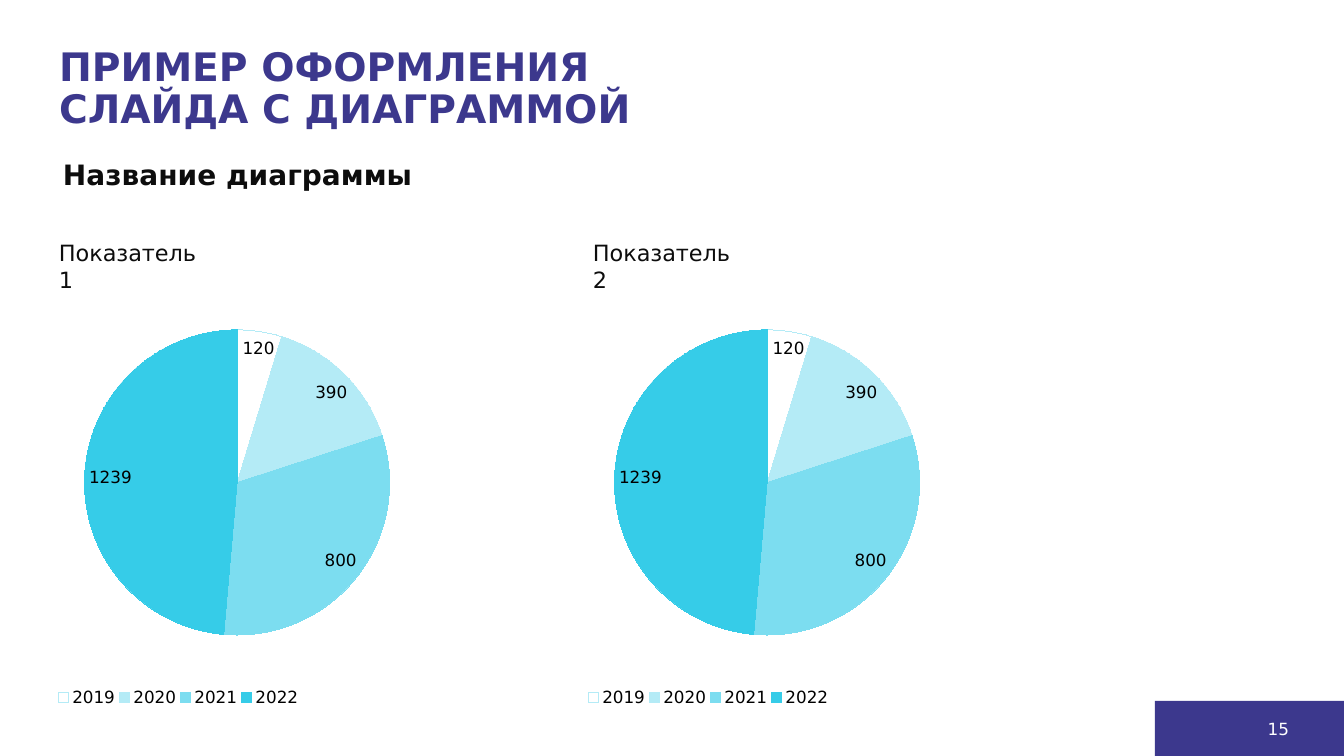
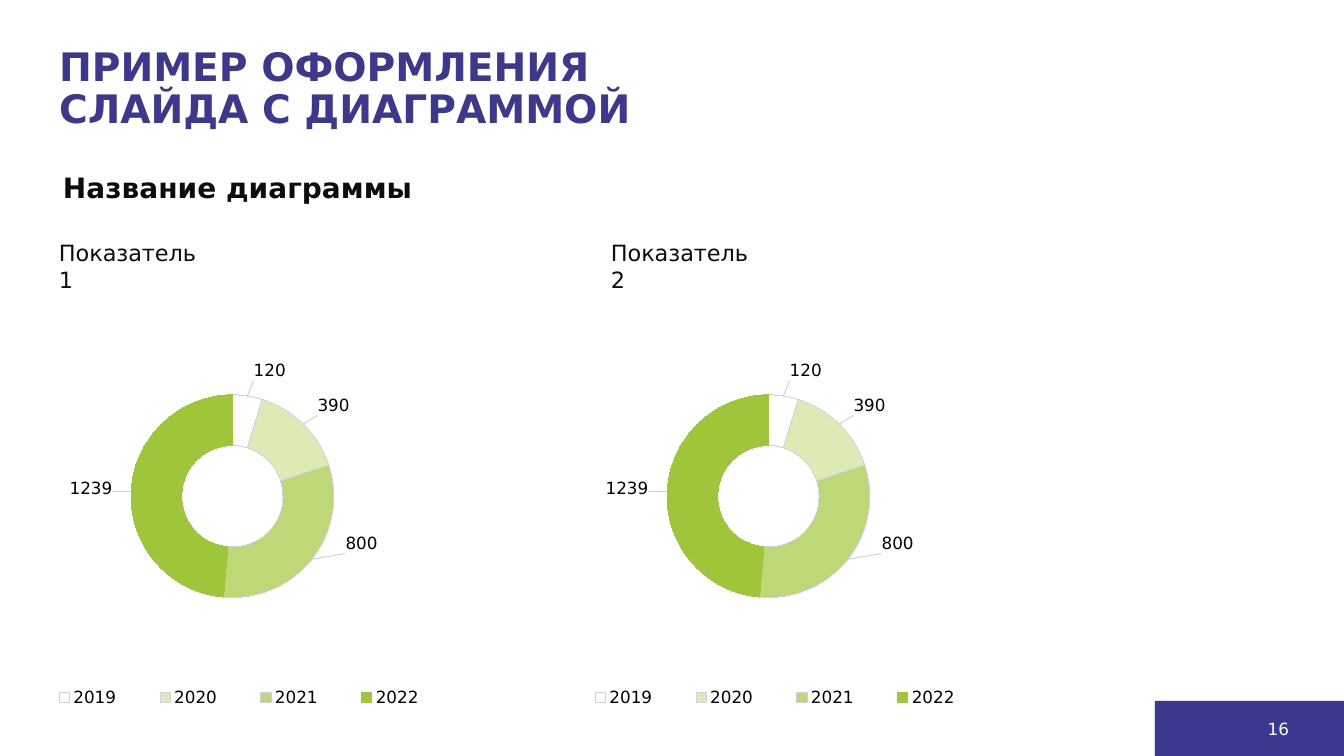
from dataclasses import dataclass

from lxml import etree
from pptx import Presentation
from pptx.chart.data import CategoryChartData
from pptx.dml.color import RGBColor
from pptx.enum.chart import XL_CHART_TYPE, XL_LABEL_POSITION, XL_LEGEND_POSITION
from pptx.enum.shapes import MSO_SHAPE
from pptx.enum.text import MSO_ANCHOR, MSO_AUTO_SIZE, PP_ALIGN
from pptx.oxml import parse_xml
from pptx.oxml.ns import nsdecls, qn
from pptx.util import Pt

PIE, DOUGHNUT = XL_CHART_TYPE.PIE, XL_CHART_TYPE.DOUGHNUT
LEFT, RIGHT = PP_ALIGN.LEFT, PP_ALIGN.RIGHT
TOP, MIDDLE = MSO_ANCHOR.TOP, MSO_ANCHOR.MIDDLE
RECT = MSO_SHAPE.RECTANGLE
BEST_FIT = XL_LABEL_POSITION.BEST_FIT
LEGEND_RIGHT = XL_LEGEND_POSITION.RIGHT
NO_AUTOSIZE = MSO_AUTO_SIZE.NONE


@dataclass(frozen=True)
class Theme:
    font: str = "DejaVu Sans"
    accent: str = "3C388D"
    text: str = "0D0D0D"
    label: str = "000000"
    white: str = "FFFFFF"
    lilac: str = "D1D0EC"
    title_pt: int = 28
    heading_pt: int = 20
    body_pt: int = 16
    small_pt: int = 12


T = Theme()
EMU_PER_PX = 914400 / 100.8


def px(*lengths):
    return [round(v * EMU_PER_PX) for v in lengths]


def write(sp, lines, size, color, bold=False, align=LEFT, anchor=TOP):
    """Fill a shape's first paragraph, with a line break between lines."""
    tf = sp.text_frame
    tf.word_wrap = True
    tf.auto_size = NO_AUTOSIZE
    tf.vertical_anchor = anchor
    p = tf.paragraphs[0]
    p.alignment = align
    for i, line in enumerate(lines):
        if i:
            p.add_line_break()
        r = p.add_run()
        r.text = line
        r.font.name, r.font.size, r.font.bold = T.font, Pt(size), bold
        r.font.color.rgb = RGBColor.from_string(color)
    return p


# Content: the last category and two of the series are unfilled
data = CategoryChartData()
data.categories = ["2019", "2020", "2021", "2022", ""]
data.add_series("Series 1", [120, 390, 800, 1239, None])
data.add_series("Series 2", [None] * 5)
data.add_series("Series 3", [None] * 5)

# Boxes are fractions of the chart: x, y, width, height
SLIDES = [
    dict(number="15", kind=PIE, heading_y=153, label_x=[49, 583], chart_x=[54, 584],
         fills=[T.white, "B4EBF6", "7CDDF0", "36CCE8"],
         lines=["B4EBF6", "B4EBF6", "7CDDF0", "36CCE8"],
         plot=(0.07, 0.05, 0.7, 0.83), legend=(0, 0.9, 0.57, 0.07), offsets=[]),
    dict(number="16", kind=DOUGHNUT, heading_y=166, label_x=[49, 601], chart_x=[21, 557],
         fills=[T.white, "DCEAB4", "BED777", "9FC53A"],
         lines=[T.lilac, T.lilac, T.lilac, "9FC53A"],
         plot=(0.02, 0.05, 0.93, 0.89), legend=(0, 0.9, 1, 0.07),
         offsets=[(0.06, -0.11), (0.11, -0.08), (0.16, 0), (-0.15, -0.01)]),
]

prs = Presentation()
prs.slide_width, prs.slide_height = px(1344, 756)

for page in SLIDES:
    s = prs.slides.add_slide(prs.slide_layouts[5])

    # Title
    title = s.shapes.title
    title.left, title.top, title.width, title.height = px(49, 38, 1159, 104)
    p = write(title, ["ПРИМЕР ОФОРМЛЕНИЯ", "СЛАЙДА С ДИАГРАММОЙ"],
              T.title_pt, T.accent, bold=True, anchor=MIDDLE)
    p.line_spacing = 0.9

    # Heading
    heading = s.shapes.add_textbox(*px(53, page["heading_y"], 420, 44))
    write(heading, ["Название диаграммы"], T.heading_pt, T.text, bold=True)

    # Charts with their captions
    for n, (label_x, chart_x) in enumerate(zip(page["label_x"], page["chart_x"]), 1):
        caption = s.shapes.add_textbox(*px(label_x, 234, 177, 37))
        write(caption, [f"Показатель {n}"], T.body_pt, T.text)

        chart = s.shapes.add_chart(page["kind"], *px(chart_x, 270, 436, 457), data).chart
        chart.replace_data(data)  # a new pie takes only its first series
        chart.has_title = False
        chart.font.name, chart.font.size = T.font, Pt(T.small_pt)
        chart.font.color.rgb = RGBColor.from_string(T.label)
        chart.has_legend = True
        chart.legend.position = LEGEND_RIGHT
        chart.legend.include_in_layout = False

        # Slices
        plot = chart.plots[0]
        plot.vary_by_categories = True
        series = plot.series[0]
        series.format.line.color.rgb = RGBColor.from_string(T.lilac)
        series.format.line.width = Pt(0.75)
        for i, (fill, line) in enumerate(zip(page["fills"], page["lines"])):
            fmt = series.points[i].format
            fmt.fill.solid()
            fmt.fill.fore_color.rgb = RGBColor.from_string(fill)
            fmt.line.color.rgb = RGBColor.from_string(line)
            fmt.line.width = Pt(0)

        # Value labels
        labels = series.data_labels
        labels.show_value = True
        labels.font.name, labels.font.size = T.font, Pt(T.small_pt)
        labels.font.color.rgb = RGBColor.from_string(T.label)
        if page["kind"] == PIE:
            labels.position = BEST_FIT
        for i in range(len(page["offsets"])):
            font = series.points[i].data_label.font
            font.name, font.size = T.font, Pt(T.small_pt)
            font.color.rgb = RGBColor.from_string(T.label)

        # Manual places of plot, legend and moved labels
        root = chart._chartSpace
        hole = root.find(".//" + qn("c:holeSize"))
        if hole is not None:
            hole.set("val", "20")
        legend = root.find(".//" + qn("c:legend"))
        places = [(root.find(".//" + qn("c:plotArea")), 0, page["plot"]),
                  (legend, 1, page["legend"])]
        places += [(dl, 1, xy) for dl, xy in
                   zip(root.findall(".//" + qn("c:dLbl")), page["offsets"])]
        for parent, index, box in places:
            for old in parent.findall(qn("c:layout")):
                parent.remove(old)
            layout = parse_xml(f"<c:layout {nsdecls('c')}><c:manualLayout/></c:layout>")
            parts = list(zip("xywh", box))
            if len(box) == 4:
                parts = [("xMode", "edge"), ("yMode", "edge")] + parts
            if parent.tag == qn("c:plotArea"):
                parts.insert(0, ("layoutTarget", "inner"))
            for tag, val in parts:
                etree.SubElement(layout[0], qn("c:" + tag)).set("val", str(val))
            parent.insert(index, layout)

        # Legend without the unnamed category
        legend.insert(1, parse_xml(
            f"<c:legendEntry {nsdecls('c')}><c:idx val='4'/><c:delete val='1'/></c:legendEntry>"))

        # Leader lines
        if page["offsets"]:
            root.find(".//" + qn("c:ser") + "/" + qn("c:dLbls")).append(parse_xml(
                f"<c:leaderLines {nsdecls('c', 'a')}><c:spPr><a:ln w='9525'><a:solidFill>"
                f"<a:srgbClr val='{T.lilac}'/></a:solidFill></a:ln></c:spPr></c:leaderLines>"))

    # Page number band
    band = s.shapes.add_shape(RECT, *px(1155, 701, 189, 55))
    band.shadow.inherit = False
    band.fill.solid()
    band.fill.fore_color.rgb = RGBColor.from_string(T.accent)
    band.line.fill.background()
    number = s.shapes.add_textbox(*px(997, 709, 302, 40))
    write(number, [page["number"]], T.small_pt, T.white, align=RIGHT, anchor=MIDDLE)

prs.save("out.pptx")
